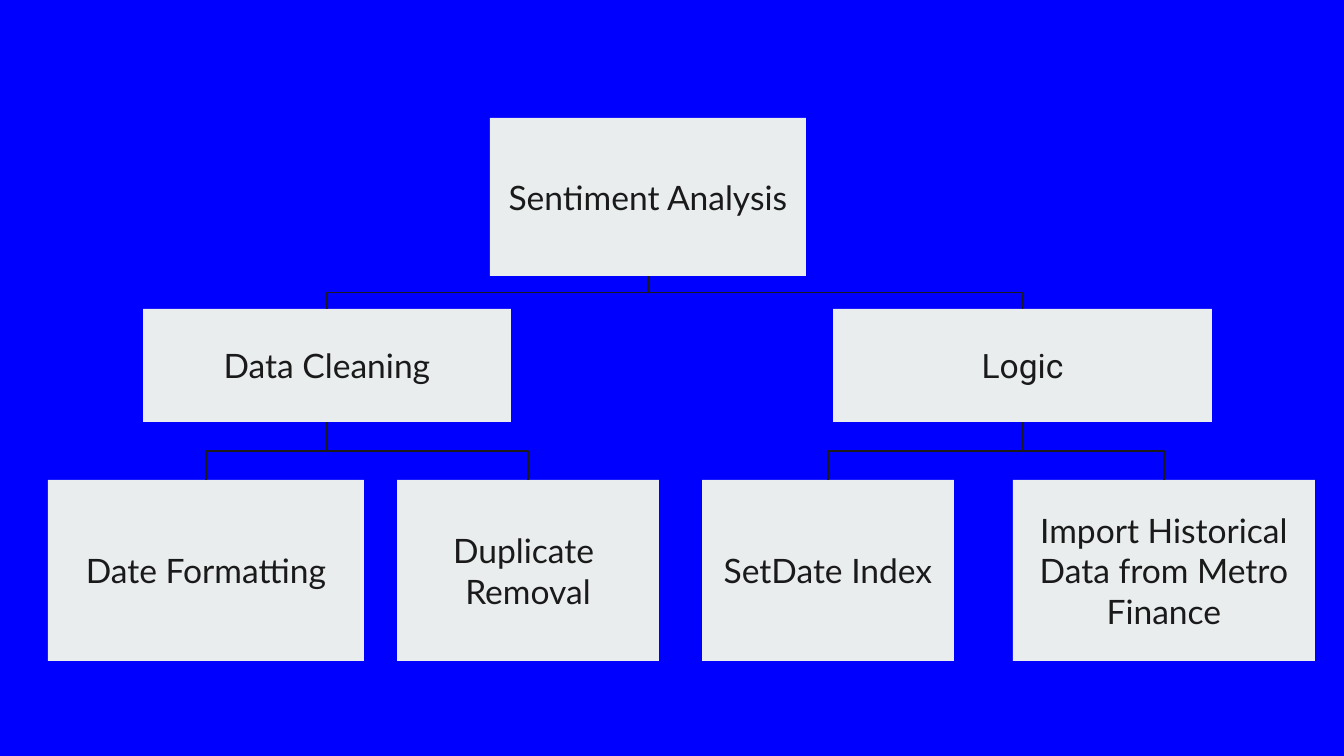
from dataclasses import dataclass

from lxml.etree import SubElement
from pptx import Presentation
from pptx.dml.color import RGBColor
from pptx.enum.shapes import MSO_CONNECTOR, MSO_SHAPE
from pptx.enum.text import MSO_ANCHOR, PP_ALIGN
from pptx.oxml.ns import qn
from pptx.util import Pt

SCALE = 914400 / 134.4  # EMU in one px


def px(n):
    return round(n * SCALE)


@dataclass
class Theme:
    back: RGBColor = RGBColor(0, 0, 255)
    card: RGBColor = RGBColor(0xE9, 0xED, 0xEE)
    ink: RGBColor = RGBColor(0x1A, 0x1A, 0x1A)
    size: Pt = Pt(18)
    rule: Pt = Pt(0.75)
    face: str = "Lato"
    alt: str = "Roboto"


def apply(item, values):
    for name, value in values.items():
        setattr(item, name, value)


class Chart:
    """Draws an organisation chart on one slide."""

    def __init__(self, slide, theme):
        self.slide, self.theme = slide, theme
        fill = slide.background.fill
        fill.solid()
        fill.fore_color.rgb = theme.back

    def box(self, text, left, top, width, height, face=None):
        theme = self.theme
        card = self.slide.shapes.add_shape(
            MSO_SHAPE.RECTANGLE, px(left), px(top), px(width), px(height))
        card.shadow.inherit = False
        card.fill.solid()
        card.fill.fore_color.rgb = theme.card
        card.line.fill.background()
        frame = card.text_frame
        sides = ("left", "top", "right", "bottom")
        apply(frame, {f"margin_{side}": px(13) for side in sides})
        apply(frame, {"text": text, "word_wrap": True,
                      "vertical_anchor": MSO_ANCHOR.MIDDLE})
        for para in frame.paragraphs:
            para.alignment = PP_ALIGN.CENTER
            for run in para.runs:
                apply(run.font, {"name": face or theme.face, "size": theme.size})
                run.font.color.rgb = theme.ink
        return card

    def link(self, head, child):
        """Elbow between the bottom of head and the top of child."""
        x1, y1 = head.left + head.width // 2, head.top + head.height
        x2, y2 = child.left + child.width // 2, child.top
        line = self.slide.shapes.add_connector(MSO_CONNECTOR.ELBOW, x1, y1, x2, y2)
        # Every elbow runs from left to right
        right = x2 > x1
        ends = [(head, 2), (child, 0)]
        start, stop = ends if right else ends[::-1]
        line.begin_connect(*start)
        line.end_connect(*stop)
        # Turn the elbow so that its end parts are upright
        long, wide = y2 - y1, abs(x2 - x1)
        apply(line, {"left": (x1 + x2 - long) // 2, "top": (y1 + y2 - wide) // 2,
                     "width": long, "height": wide})
        props = line._element.spPr
        frame = props.find(qn("a:xfrm"))
        frame.attrib.clear()
        frame.set("rot", str(270 * 60000))
        if right:
            frame.set("flipH", "1")
        line.line.color.rgb = self.theme.ink
        line.line.width = self.theme.rule
        SubElement(props, qn("a:effectLst"))


def main():
    deck = Presentation()
    apply(deck, {"slide_width": px(1344), "slide_height": px(756)})
    theme = Theme()
    chart = Chart(deck.slides.add_slide(deck.slide_layouts[6]), theme)

    # Root and its two branches
    root = chart.box("Sentiment Analysis", 490, 118, 316, 158)
    mid = {"top": 309, "height": 113}
    clean = chart.box("Data Cleaning", left=143, width=368, **mid)
    logic = chart.box("Logic", left=833, width=379, face=theme.alt, **mid)

    # Leaves, each under its branch
    leaves = [
        (logic, "Import Historical Data from Metro Finance", 1013, 302),
        (logic, "SetDate Index", 702, 252),
        (clean, "Duplicate \nRemoval", 397, 262),
        (clean, "Date Formatting", 48, 316),
    ]
    pairs = [(root, logic), (root, clean)]
    for head, text, left, width in leaves:
        pairs.append((head, chart.box(text, left, 480, width, 181)))

    # Connectors
    for head, child in pairs:
        chart.link(head, child)

    deck.save("out.pptx")


if __name__ == "__main__":
    main()
